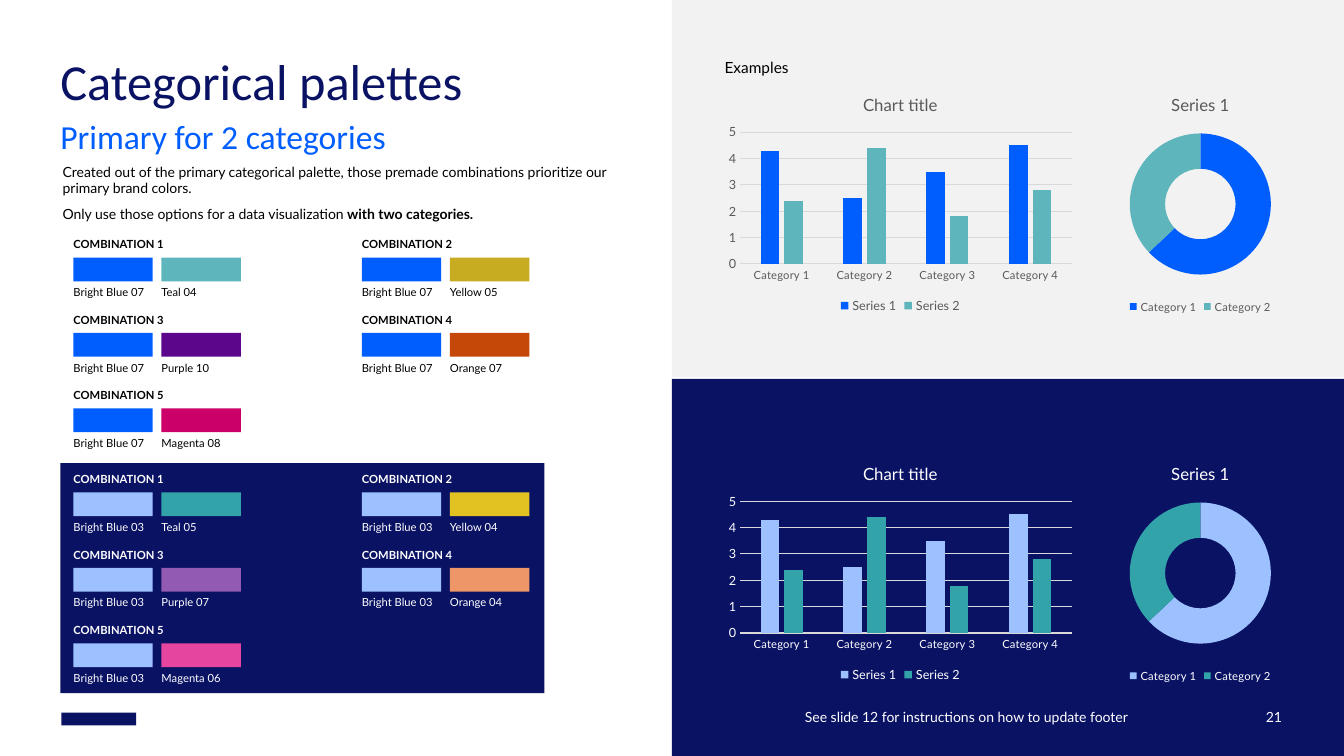
"""Build the slide of two-category palettes with light and dark chart examples."""
from dataclasses import dataclass

from pptx import Presentation
from pptx.chart.chart import Chart
from pptx.chart.data import CategoryChartData
from pptx.dml.color import RGBColor
from pptx.enum.chart import XL_CHART_TYPE, XL_LEGEND_POSITION, XL_TICK_MARK
from pptx.enum.shapes import MSO_SHAPE
from pptx.enum.text import MSO_ANCHOR, PP_ALIGN
from pptx.slide import Slide
from pptx.text.text import Font
from pptx.util import Cm, Pt

COLUMNS = XL_CHART_TYPE.COLUMN_CLUSTERED
DOUGHNUT = XL_CHART_TYPE.DOUGHNUT
LEGEND_BOTTOM = XL_LEGEND_POSITION.BOTTOM
NO_TICKS = XL_TICK_MARK.NONE
RECTANGLE = MSO_SHAPE.RECTANGLE
TOP, BOTTOM = MSO_ANCHOR.TOP, MSO_ANCHOR.BOTTOM
LEFT, RIGHT = PP_ALIGN.LEFT, PP_ALIGN.RIGHT

NAVY, BLUE, WHITE, BLACK = "0A1264", "005EFF", "FFFFFF", "000000"
PALE, GREY, RULE = "F2F2F2", "595959", "D9D9D9"
COLUMN_LEFTS = (1.85, 9.12)
ROW_PITCH = 1.9
SWATCH_WIDTH, SWATCH_HEIGHT, SWATCH_PITCH = 2.0, 0.6, 2.22


@dataclass(frozen=True)
class Swatch:
    """A named colour."""
    name: str
    color: str


@dataclass(frozen=True)
class Palette:
    """Combinations of one base colour with each partner."""
    top: float
    text_color: str
    base: Swatch
    partners: tuple[Swatch, ...]


@dataclass(frozen=True)
class Example:
    """A pair of charts in one colour combination."""
    top: float
    text_color: str
    colors: tuple[str, str]


PALETTES = (
    Palette(5.99, BLACK, Swatch("Bright Blue 07", BLUE), (
        Swatch("Teal 04", "5EB6BC"), Swatch("Yellow 05", "C7AB21"),
        Swatch("Purple 10", "5C068C"), Swatch("Orange 07", "C64809"),
        Swatch("Magenta 08", "CC0069"))),
    Palette(11.91, WHITE, Swatch("Bright Blue 03", "9DC1FF"), (
        Swatch("Teal 05", "33A3AA"), Swatch("Yellow 04", "E2C222"),
        Swatch("Purple 07", "925AB2"), Swatch("Orange 04", "EE9667"),
        Swatch("Magenta 06", "E5449F"))),
)
EXAMPLES = (
    Example(2.0, GREY, (BLUE, "5EB6BC")),
    Example(11.3, WHITE, ("9DC1FF", "33A3AA")),
)


def rgb(color: str) -> RGBColor:
    """Turn a hex string into a colour."""
    return RGBColor.from_string(color)


def set_font(font: Font, size: float, color: str, name: str = "Lato", bold: bool = False) -> None:
    """Set every font property used on the slide."""
    font.size, font.name, font.bold = Pt(size), name, bold
    font.color.rgb = rgb(color)


def add_block(page: Slide, left: float, top: float, width: float, height: float, color: str) -> None:
    """Draw a plain filled rectangle."""
    block = page.shapes.add_shape(RECTANGLE, Cm(left), Cm(top), Cm(width), Cm(height))
    block.shadow.inherit = False
    block.fill.solid()
    block.fill.fore_color.rgb = rgb(color)
    block.line.fill.background()


def add_text(page: Slide, left: float, top: float, width: float, height: float,
             paragraphs: list[list[str]], size: float, color: str, name: str = "Lato",
             bold: bool = False, wrap: bool = False, align: PP_ALIGN = LEFT,
             anchor: MSO_ANCHOR = TOP, spacing: float | Pt = 1.0) -> None:
    """Write paragraphs of spans; any span after the first is bold."""
    frame = page.shapes.add_textbox(Cm(left), Cm(top), Cm(width), Cm(height)).text_frame
    frame.margin_left = frame.margin_right = frame.margin_top = frame.margin_bottom = 0
    frame.word_wrap, frame.vertical_anchor = wrap, anchor
    for index, spans in enumerate(paragraphs):
        para = frame.add_paragraph() if index else frame.paragraphs[0]
        para.alignment, para.line_spacing = align, spacing
        if index:
            para.space_before = Pt(6)
        set_font(para.font, size, color, name, bold)
        for position, text in enumerate(spans):
            span = para.add_run()
            span.text = text
            if position:
                span.font.bold = True


def add_palette(page: Slide, palette: Palette) -> None:
    """Lay out the combinations in two columns."""
    for index, partner in enumerate(palette.partners):
        row, column = divmod(index, 2)
        left, top = COLUMN_LEFTS[column], palette.top + row * ROW_PITCH
        add_text(page, left, top, 2.3, 0.33, [[f"COMBINATION {index + 1}"]], 8,
                 palette.text_color, bold=True, spacing=1.01)
        for position, swatch in enumerate((palette.base, partner)):
            swatch_left = left + position * SWATCH_PITCH
            add_block(page, swatch_left, top + 0.5, SWATCH_WIDTH, SWATCH_HEIGHT, swatch.color)
            add_text(page, swatch_left, top + 1.2, SWATCH_WIDTH, 0.33, [[swatch.name]], 8,
                     palette.text_color, spacing=1.01)


def add_chart(page: Slide, kind: XL_CHART_TYPE, left: float, top: float, width: float,
              title: str, series: dict[str, tuple[float, ...]], color: str,
              legend_size: float) -> Chart:
    """Add a titled chart with its legend below."""
    data = CategoryChartData()
    count = len(next(iter(series.values())))
    data.categories = [f"Category {number}" for number in range(1, count + 1)]
    for name, values in series.items():
        data.add_series(name, values)
    chart = page.shapes.add_chart(kind, Cm(left), Cm(top), Cm(width), Cm(6), data).chart
    set_font(chart.font, 10, BLACK)
    chart.has_title = True
    chart.chart_title.text_frame.text = title
    set_font(chart.chart_title.text_frame.paragraphs[0].font, 12, color)
    chart.chart_title.include_in_layout = False
    chart.has_legend = True
    chart.legend.position = LEGEND_BOTTOM
    chart.legend.include_in_layout = False
    set_font(chart.legend.font, legend_size, color)
    return chart


def add_example(page: Slide, example: Example) -> None:
    """Draw the doughnut and the columns of one example."""
    ring = add_chart(page, DOUGHNUT, 28.0, example.top, 4.5, "Series 1",
                     {"Series 1": (63, 37)}, example.text_color, 8)
    bars = add_chart(page, COLUMNS, 18.19, example.top, 9.0, "Chart title",
                     {"Series 1": (4.3, 2.5, 3.5, 4.5), "Series 2": (2.4, 4.4, 1.8, 2.8)},
                     example.text_color, 9)
    slices, plot = ring.plots[0].series[0].points, bars.plots[0]
    plot.vary_by_categories = False
    plot.gap_width, plot.overlap = 219, -27
    for index, color in enumerate(example.colors):
        for part in (slices[index], plot.series[index]):
            part.format.fill.solid()
            part.format.fill.fore_color.rgb = rgb(color)
    values, categories = bars.value_axis, bars.category_axis
    for axis, size in ((values, 9), (categories, 8)):
        axis.major_tick_mark = axis.minor_tick_mark = NO_TICKS
        set_font(axis.tick_labels.font, size, example.text_color)
    values.minimum_scale, values.maximum_scale, values.major_unit = 0, 5, 1
    values.format.line.fill.background()
    for line in (values.major_gridlines.format.line, categories.format.line):
        line.color.rgb, line.width = rgb(RULE), Pt(0.75)


def main() -> None:
    """Build and save the deck."""
    deck = Presentation()
    deck.slide_width, deck.slide_height = Cm(33.87), Cm(19.05)
    page = deck.slides.add_slide(deck.slide_layouts[6])
    add_block(page, 1.55, 17.96, 1.88, 0.32, NAVY)
    add_block(page, 16.93, 0, 16.94, 9.5, PALE)
    add_block(page, 16.93, 9.55, 16.94, 9.5, NAVY)
    add_block(page, 1.52, 11.67, 12.2, 5.8, NAVY)
    for example in EXAMPLES:
        add_example(page, example)
    for palette in PALETTES:
        add_palette(page, palette)
    add_text(page, 1.52, 1.52, 30.8, 1.22, [["Categorical palettes"]], 36, NAVY,
             "Calibri", wrap=True, spacing=Pt(36))
    add_text(page, 1.52, 3.12, 30.8, 0.81, [["Primary for 2 categories"]], 24, BLUE,
             "Calibri", wrap=True, spacing=0.8)
    add_text(page, 1.58, 4.11, 14.63, 1.5, [
        ["Created out of the primary categorical palette, those premade combinations "
         "prioritize our primary brand colors."],
        ["Only use those options for a data visualization ", "with two categories."],
    ], 10, BLACK, wrap=True)
    add_text(page, 18.26, 1.45, 10.64, 0.61, [["Examples"]], 11, BLACK, spacing=1.01)
    for left, width, text in (
            (13.28, 15.14, "See slide 12 for instructions on how to update footer"),
            (28.96, 3.35, "21")):
        add_text(page, left, 17.53, width, 0.76, [[text]], 10, WHITE, wrap=True,
                 align=RIGHT, anchor=BOTTOM)
    deck.save("out.pptx")


if __name__ == "__main__":
    main()
